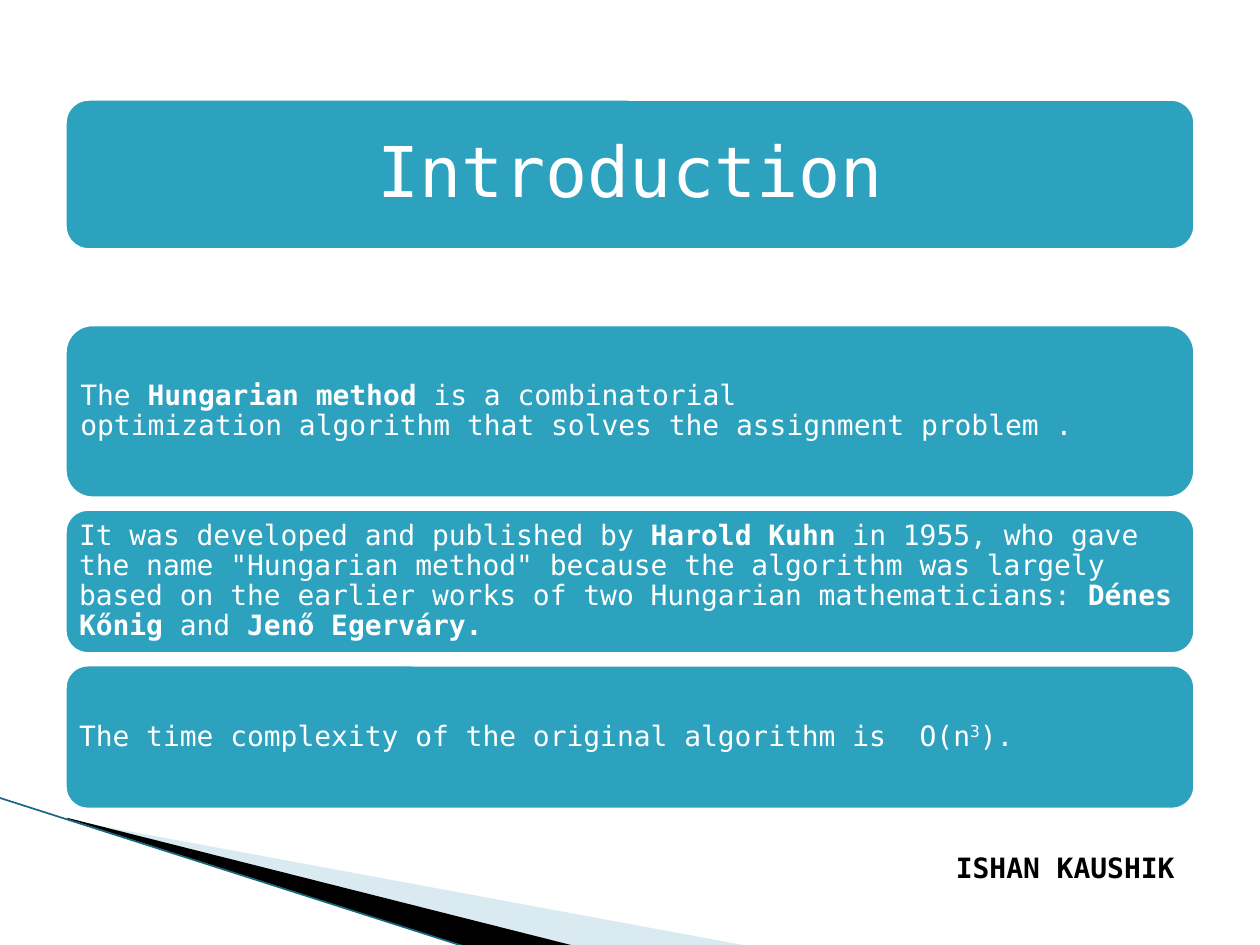
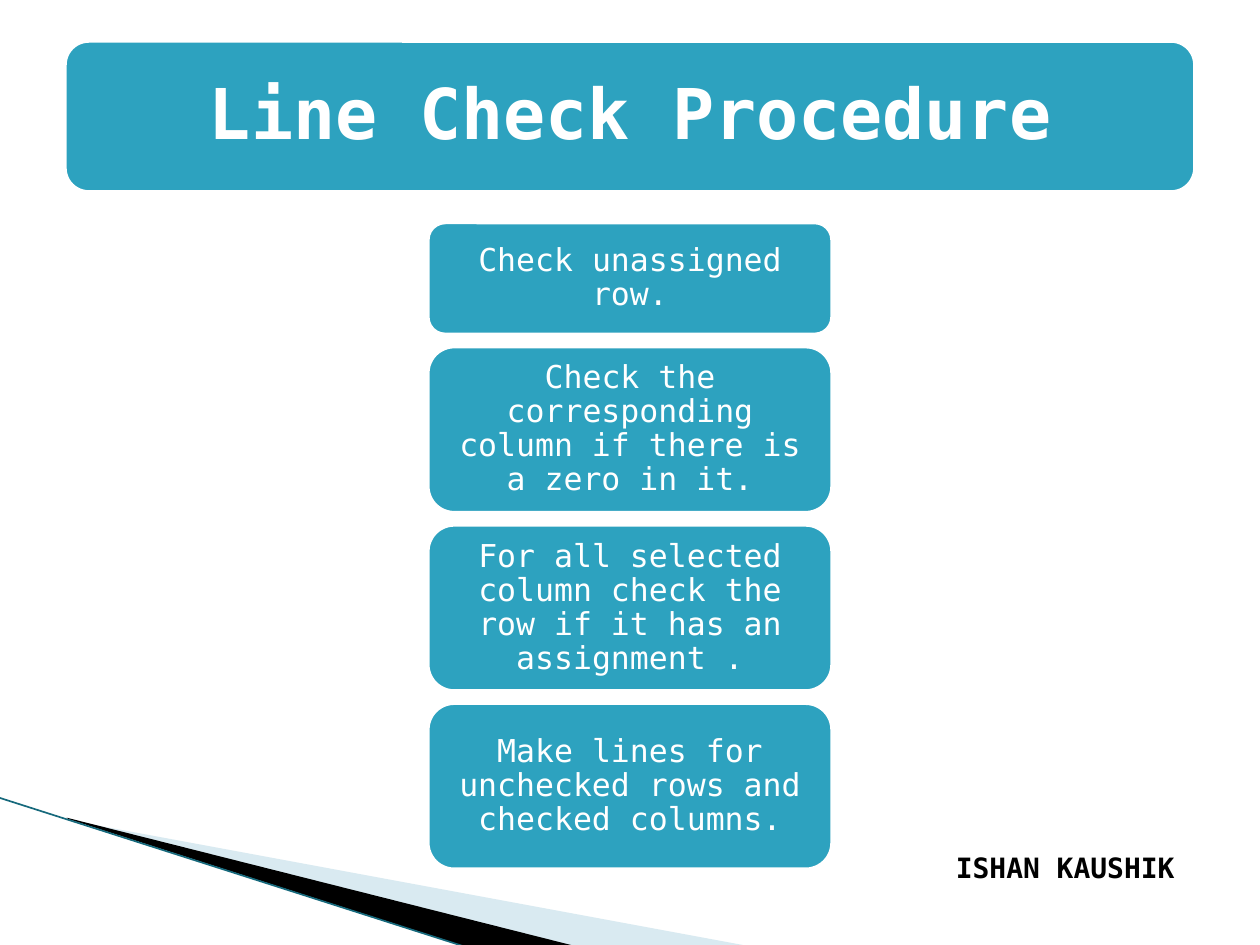
from dataclasses import dataclass

from lxml import etree
from pptx import Presentation
from pptx.dml.color import RGBColor
from pptx.enum.shapes import MSO_CONNECTOR, MSO_SHAPE
from pptx.enum.text import MSO_ANCHOR, PP_ALIGN
from pptx.oxml.ns import qn
from pptx.presentation import Presentation as Deck
from pptx.shapes.base import BaseShape
from pptx.slide import Slide
from pptx.text.text import TextFrame
from pptx.util import Emu, Inches, Pt

ROUNDED = MSO_SHAPE.ROUNDED_RECTANGLE
STRAIGHT = MSO_CONNECTOR.STRAIGHT
MIDDLE, BOTTOM = MSO_ANCHOR.MIDDLE, MSO_ANCHOR.BOTTOM
LEFT, CENTER, RIGHT = PP_ALIGN.LEFT, PP_ALIGN.CENTER, PP_ALIGN.RIGHT

SLIDE_WIDTH, SLIDE_HEIGHT = Inches(10), Inches(7.5)
COLUMNS, ROWS = 100, 75
BLANK_LAYOUT = 6


@dataclass(frozen=True)
class Theme:
    font: str = "DejaVu Sans Mono"
    panel: str = "2DA2BF"
    light: str = "FFFFFF"
    dark: str = "000000"
    pale_wedge: str = "A0CBDC"
    edge: str = "16697C"
    title_size: float = 40
    step_size: float = 18
    body_size: float = 16
    panel_border: float = 4.33
    edge_width: float = 0.95
    line_spacing: float = 0.9


@dataclass(frozen=True)
class Span:
    text: str
    bold: bool = False
    superscript: bool = False


@dataclass(frozen=True)
class Style:
    size: float
    color: str
    align: PP_ALIGN
    anchor: MSO_ANCHOR
    inset_x: float
    inset_y: float
    spacing: float = 1.0


@dataclass(frozen=True)
class Box:
    column: float
    row: float
    columns: float
    rows: float


@dataclass(frozen=True)
class Panel:
    rows: float
    spans: tuple[Span, ...]


@dataclass(frozen=True)
class Stack:
    column: float
    columns: float
    row: float
    gap: float
    style: Style
    panels: tuple[Panel, ...]


@dataclass(frozen=True)
class Wedge:
    points: tuple[tuple[float, float], ...]
    color: str
    opacity: int = 100


@dataclass(frozen=True)
class Page:
    title: Span
    title_row: float
    stack: Stack


THEME = Theme()
TITLE = Style(THEME.title_size, THEME.light, CENTER, MIDDLE, 1.7, 1.7, THEME.line_spacing)
BODY = Style(THEME.body_size, THEME.light, LEFT, MIDDLE, 0.7, 0.7, THEME.line_spacing)
STEP = Style(THEME.step_size, THEME.light, CENTER, MIDDLE, 0.7, 0.4, THEME.line_spacing)
AUTHOR = Style(THEME.body_size, THEME.dark, RIGHT, BOTTOM, 1, 0.5)

MARGIN, CONTENT_COLUMNS, TITLE_ROWS = 5, 90, 12.3
AUTHOR_BOX = Box(57.5, 66.7, 36.7, 4)
AUTHOR_NAME = Span("ISHAN KAUSHIK", bold=True)
WEDGES = (
    Wedge(((5.5, 65.1), (59.5, 75.1), (45.6, 75.1), (5.5, 65)), THEME.pale_wedge, 40),
    Wedge(((5.3, 64.9), (45.7, 75.1), (37.2, 75.2), (5.4, 65)), THEME.dark),
)
EDGE_START, EDGE_END = (-0.1, 63.3), (37.1, 75.2)

PAGES = (
    Page(
        Span("Introduction"),
        7.7,
        Stack(MARGIN, CONTENT_COLUMNS, 25.6, 0.55, BODY, (
            Panel(14.1, (
                Span("The\u00a0"),
                Span("Hungarian method", bold=True),
                Span("\u00a0is a\u00a0combinatorial optimization\u00a0algorithm\u00a0that "
                     "solves the\u00a0assignment problem\u00a0."),
            )),
            Panel(11.8, (
                Span("It was developed and published by\u00a0"),
                Span("Harold Kuhn", bold=True),
                Span("\u00a0in 1955, who gave the name \"Hungarian method\" because the "
                     "algorithm was largely based on the earlier works of two\u00a0"
                     "Hungarian mathematicians:\u00a0"),
                Span("Dénes Kőnig", bold=True),
                Span("\u00a0and\u00a0"),
                Span("Jenő Egerváry.", bold=True),
            )),
            Panel(11.8, (
                Span("The\u00a0time complexity\u00a0of the original algorithm is \u00a0O(n"),
                Span("3", superscript=True),
                Span(")."),
            )),
        )),
    ),
    Page(
        Span("Line Check Procedure", bold=True),
        3.1,
        Stack(33.8, 32.4, 17.5, 0.65, STEP, (
            Panel(9.2, (Span("Check unassigned row."),)),
            Panel(13.5, (Span("Check the corresponding column if there is a zero in it."),)),
            Panel(13.5, (Span("For all selected column check the row if it has an assignment ."),)),
            Panel(13.5, (Span("Make lines for unchecked rows and checked columns."),)),
        )),
    ),
)


def across(columns: float) -> Emu:
    return Emu(round(SLIDE_WIDTH * columns / COLUMNS))


def down(rows: float) -> Emu:
    return Emu(round(SLIDE_HEIGHT * rows / ROWS))


def place(box: Box) -> tuple[Emu, Emu, Emu, Emu]:
    return across(box.column), down(box.row), across(box.columns), down(box.rows)


def paint(shape: BaseShape, color: str) -> None:
    shape.shadow.inherit = False
    shape.fill.solid()
    shape.fill.fore_color.rgb = RGBColor.from_string(color)


def write(text_frame: TextFrame, spans: tuple[Span, ...], style: Style) -> None:
    text_frame.word_wrap = True
    text_frame.vertical_anchor = style.anchor
    text_frame.margin_left = text_frame.margin_right = across(style.inset_x)
    text_frame.margin_top = text_frame.margin_bottom = down(style.inset_y)
    paragraph = text_frame.paragraphs[0]
    paragraph.alignment = style.align
    paragraph.line_spacing = style.spacing
    for span in spans:
        run = paragraph.add_run()
        run.text = span.text
        run.font.name = THEME.font
        run.font.size = Pt(style.size)
        run.font.bold = span.bold
        run.font.color.rgb = RGBColor.from_string(style.color)
        if span.superscript:
            run.font._element.set("baseline", "30000")


def draw_panel(slide: Slide, box: Box, spans: tuple[Span, ...], style: Style) -> None:
    shape = slide.shapes.add_shape(ROUNDED, *place(box))
    paint(shape, THEME.panel)
    shape.line.color.rgb = RGBColor.from_string(THEME.light)
    shape.line.width = Pt(THEME.panel_border)
    write(shape.text_frame, spans, style)


def draw_stack(slide: Slide, stack: Stack) -> None:
    row = stack.row
    for panel in stack.panels:
        box = Box(stack.column, row, stack.columns, panel.rows)
        draw_panel(slide, box, panel.spans, stack.style)
        row += panel.rows + stack.gap


def draw_wedge(slide: Slide, wedge: Wedge) -> None:
    start, *corners = [(across(column), down(row)) for column, row in wedge.points]
    builder = slide.shapes.build_freeform(*start)
    builder.add_line_segments(corners, close=True)
    shape = builder.convert_to_shape()
    paint(shape, wedge.color)
    shape.line.fill.background()
    if wedge.opacity < 100:
        color = shape._element.spPr.find(qn("a:solidFill")).find(qn("a:srgbClr"))
        etree.SubElement(color, qn("a:alpha")).set("val", str(wedge.opacity * 1000))


def draw_edge(slide: Slide) -> None:
    ends = [length for column, row in (EDGE_START, EDGE_END)
            for length in (across(column), down(row))]
    connector = slide.shapes.add_connector(STRAIGHT, *ends)
    connector.line.color.rgb = RGBColor.from_string(THEME.edge)
    connector.line.width = Pt(THEME.edge_width)
    etree.SubElement(connector._element.spPr, qn("a:effectLst"))


def draw_page(presentation: Deck, page: Page) -> None:
    slide = presentation.slides.add_slide(presentation.slide_layouts[BLANK_LAYOUT])
    for wedge in WEDGES:
        draw_wedge(slide, wedge)
    draw_edge(slide)
    title_box = Box(MARGIN, page.title_row, CONTENT_COLUMNS, TITLE_ROWS)
    draw_panel(slide, title_box, (page.title,), TITLE)
    draw_stack(slide, page.stack)
    author = slide.shapes.add_textbox(*place(AUTHOR_BOX))
    write(author.text_frame, (AUTHOR_NAME,), AUTHOR)


def main() -> None:
    presentation = Presentation()
    presentation.slide_width = SLIDE_WIDTH
    presentation.slide_height = SLIDE_HEIGHT
    for page in PAGES:
        draw_page(presentation, page)
    presentation.save("out.pptx")


main()
